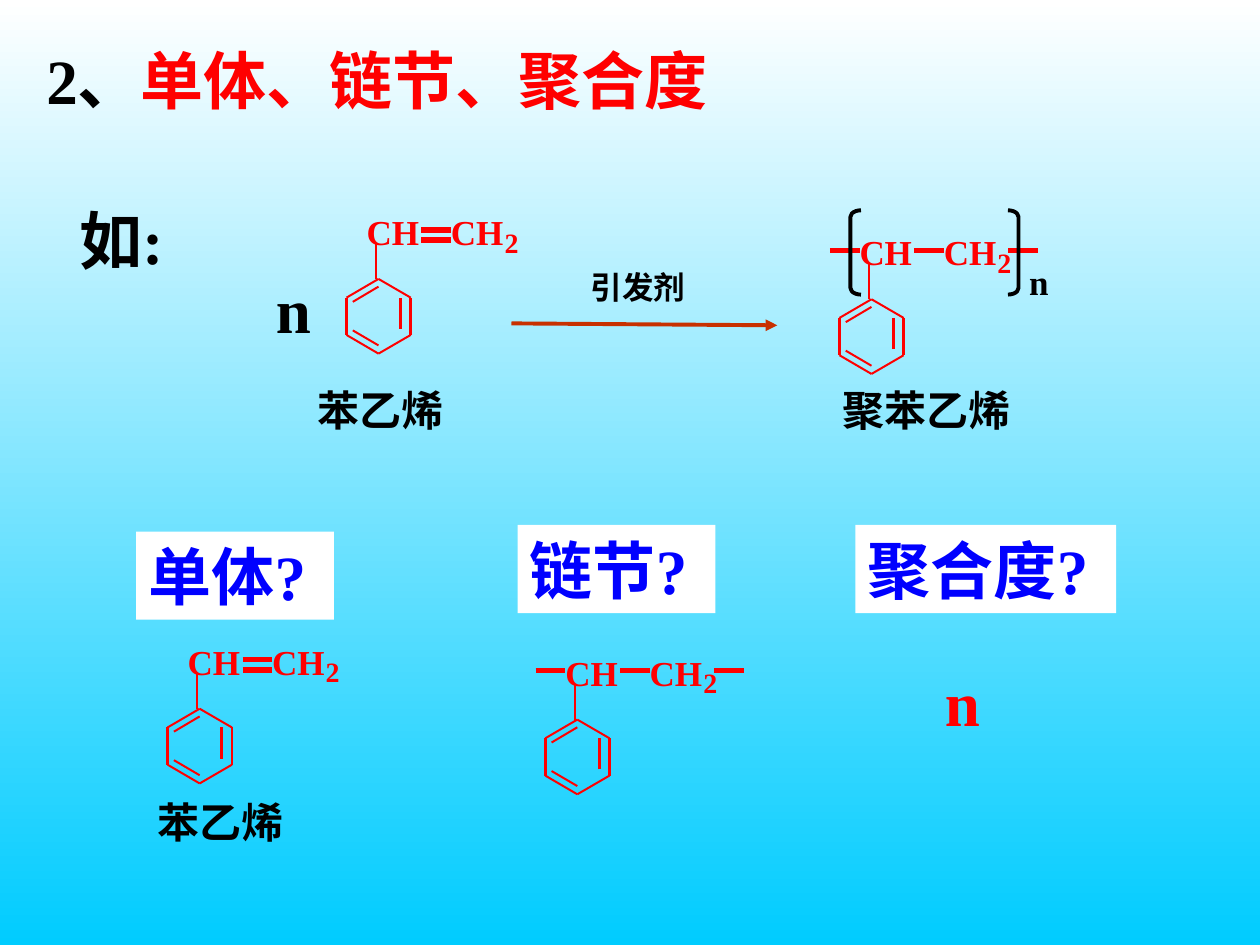
from dataclasses import dataclass

from lxml.etree import SubElement
from pptx import Presentation
from pptx.dml.color import RGBColor
from pptx.enum.shapes import MSO_CONNECTOR, MSO_SHAPE as Shape
from pptx.enum.text import MSO_ANCHOR, MSO_AUTO_SIZE, PP_ALIGN
from pptx.oxml.ns import qn
from pptx.util import Pt


@dataclass(frozen=True)
class Theme:
    font: str = "Times New Roman"
    black: RGBColor = RGBColor(0, 0, 0)
    white: RGBColor = RGBColor(255, 255, 255)
    red: RGBColor = RGBColor(255, 0, 0)
    blue: RGBColor = RGBColor(0, 0, 255)
    sky: RGBColor = RGBColor(0, 0xCC, 255)
    arrow: RGBColor = RGBColor(0xC8, 0x30, 0)
    heading: int = 36
    name: int = 24
    atom: int = 20
    note: int = 18
    index: int = 16


THEME = Theme()

RING = [(6.8, 39.2), (25.2, 49.9), (25.2, 71.2), (6.8, 81.9), (-11.5, 71.2), (-11.5, 49.9)]
INNER_BONDS = [
    ((6.8, 43.6), (-7.9, 52.3)),
    ((-7.9, 68.6), (6.8, 77.2)),
    ((19.4, 67.7), (19.4, 49.9)),
]


def paint_background(page):
    fill = page.background.fill
    fill.gradient()
    fill.gradient_angle = 270
    for stop, color in zip(fill.gradient_stops, (THEME.white, THEME.sky)):
        stop.color.rgb = color


def write(shape, text, size, color, margins=(7.2, 3.6), wrap=False):
    frame = shape.text_frame
    frame.margin_left = frame.margin_right = Pt(margins[0])
    frame.margin_top = frame.margin_bottom = Pt(margins[1])
    frame.word_wrap = wrap
    frame.auto_size = MSO_AUTO_SIZE.SHAPE_TO_FIT_TEXT
    frame.vertical_anchor = MSO_ANCHOR.TOP
    para = frame.paragraphs[0]
    para.alignment = PP_ALIGN.LEFT
    para.text = text
    font = para.font
    font.name, font.size, font.bold = THEME.font, Pt(size), True
    font.color.rgb = color
    return para


def add_label(page, box, text, size, color=THEME.black, **layout):
    return write(page.shapes.add_textbox(*map(Pt, box)), text, size, color, **layout)


def add_line(page, start, end, width, color=THEME.red):
    line = page.shapes.add_connector(MSO_CONNECTOR.STRAIGHT, *map(Pt, (*start, *end)))
    line.line.color.rgb = color
    line.line.width = Pt(width)
    SubElement(line.element.spPr, qn("a:effectLst"))
    return line


def add_title(page, box):
    para = add_label(page, box, "2、", THEME.heading, wrap=True)
    span = para.add_run()
    span.text = "单体、链节、聚合度"
    span.font.color.rgb = THEME.red


def add_unit(page, left, top, double):
    """Draw CH-CH2 with its benzene ring; left and top locate the first C."""

    def bond(start, end, width):
        add_line(page, (left + start[0], top + start[1]), (left + end[0], top + end[1]), width)

    for letter, x, width in (("C", 0, 14.4), ("H", 14.4, 16), ("C", 48.2, 14.4), ("H", 62.6, 16)):
        add_label(page, (left + x, top, width, 24), letter, THEME.atom, THEME.red, margins=(0, 0))
    add_label(page, (left + 78.8, top + 8.4, 8, 19.2), "2", THEME.index, THEME.red, margins=(0, 0))

    if double:
        chain = [(31.3, 48.2, 11.2), (31.3, 48.2, 17)]
    else:
        chain = [(x, x + 17, 11.2) for x in (-17, 31.3, 85)]
    for start, end, y in chain:
        bond((start, y), (end, y), 3)

    bond((5.4, 19.1), (5.4, 39.2), 1.5)
    for start, end in [*zip(RING, RING[1:] + RING[:1]), *INNER_BONDS]:
        bond(start, end, 1.5 if start[0] == end[0] else 1.13)


def add_brackets(page, box):
    left, top, width, height = box
    lip = 6
    for kind, x in ((Shape.LEFT_BRACKET, left), (Shape.RIGHT_BRACKET, left + width - lip)):
        bracket = page.shapes.add_shape(kind, *map(Pt, (x, top, lip, height)))
        bracket.adjustments[0] = 0.62
        bracket.fill.background()
        bracket.line.color.rgb = THEME.black
        bracket.line.width = Pt(2.25)
        bracket.shadow.inherit = False


def add_reaction(page, left, top):
    """Styrene to polystyrene, with the arrow between them."""
    add_label(page, (left, top, 70.6, 50.4), "如:", THEME.heading)
    add_label(page, (left + 112.3, top + 39.6, 34.6, 50.4), "n", THEME.heading)
    add_unit(page, left + 171.3, top + 8.6, double=True)
    add_label(page, (left + 136.1, top + 104.4, 86.4, 36), "苯乙烯", THEME.name)

    add_label(page, (left + 292.3, top + 38.2, 68.4, 28.8), "引发剂", THEME.note)
    arrow = add_line(page, (left + 254.1, top + 73.2), (left + 406, top + 74.3), 2.25, THEME.arrow)
    SubElement(arrow.line._get_or_add_ln(), qn("a:tailEnd"), type="triangle")

    add_unit(page, left + 453, top + 20.2, double=False)
    add_brackets(page, (left + 447.8, top + 8.6, 96, 48.2))
    add_label(page, (left + 542.8, top + 33.8, 25.2, 31.7), "n", THEME.atom)
    add_label(page, (left + 436.3, top + 104.4, 110.2, 36), "聚苯乙烯", THEME.name)


def add_question(page, box, text):
    card = page.shapes.add_shape(Shape.RECTANGLE, *map(Pt, box))
    card.fill.solid()
    card.fill.fore_color.rgb = THEME.white
    card.line.fill.background()
    card.shadow.inherit = False
    write(card, text, THEME.heading, THEME.blue)


def add_answers(page, left, top):
    """Three questions, each with its answer below."""
    for x, y, width, text in (
        (0, 3.8, 113, "单体?"),
        (218, 0, 113, "链节?"),
        (411, 0, 149, "聚合度?"),
    ):
        add_question(page, (left + x, top + y, width, 50.4), text)
    add_unit(page, left + 29.5, top + 65.8, double=True)
    add_label(page, (left + 5, top + 151.4, 109.4, 36), "苯乙烯", THEME.name, wrap=True)
    add_unit(page, left + 245.3, top + 72, double=False)
    add_label(page, (left + 455, top + 75.8, 34.6, 50.4), "n", THEME.heading, THEME.red)


def main():
    deck = Presentation()
    deck.slide_width, deck.slide_height = Pt(720), Pt(540)
    page = deck.slides.add_slide(deck.slide_layouts[6])
    paint_background(page)
    add_title(page, (19.4, 20.2, 419.8, 50.4))
    add_reaction(page, 38.2, 111.6)
    add_answers(page, 77.8, 300)
    deck.save("out.pptx")


if __name__ == "__main__":
    main()
